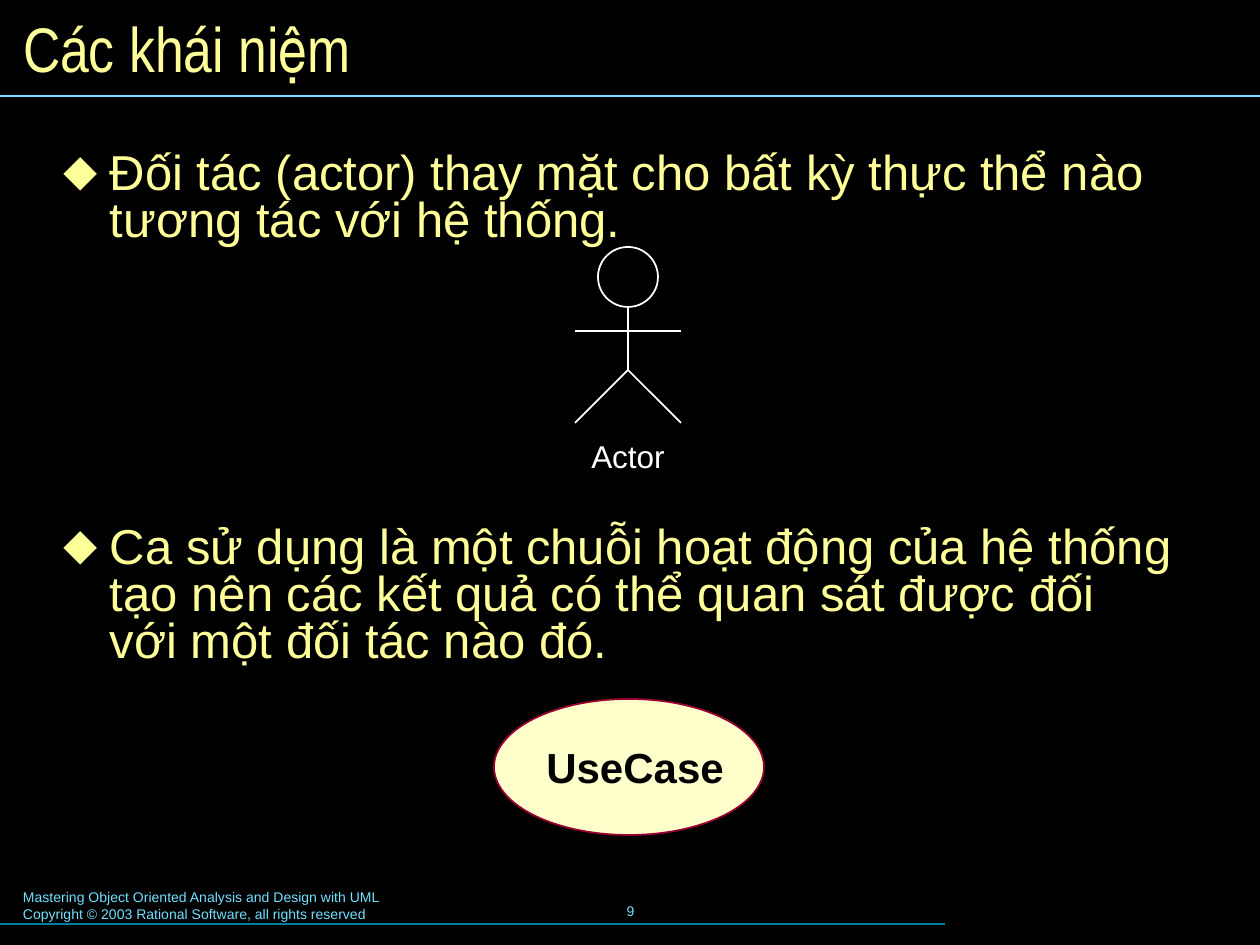
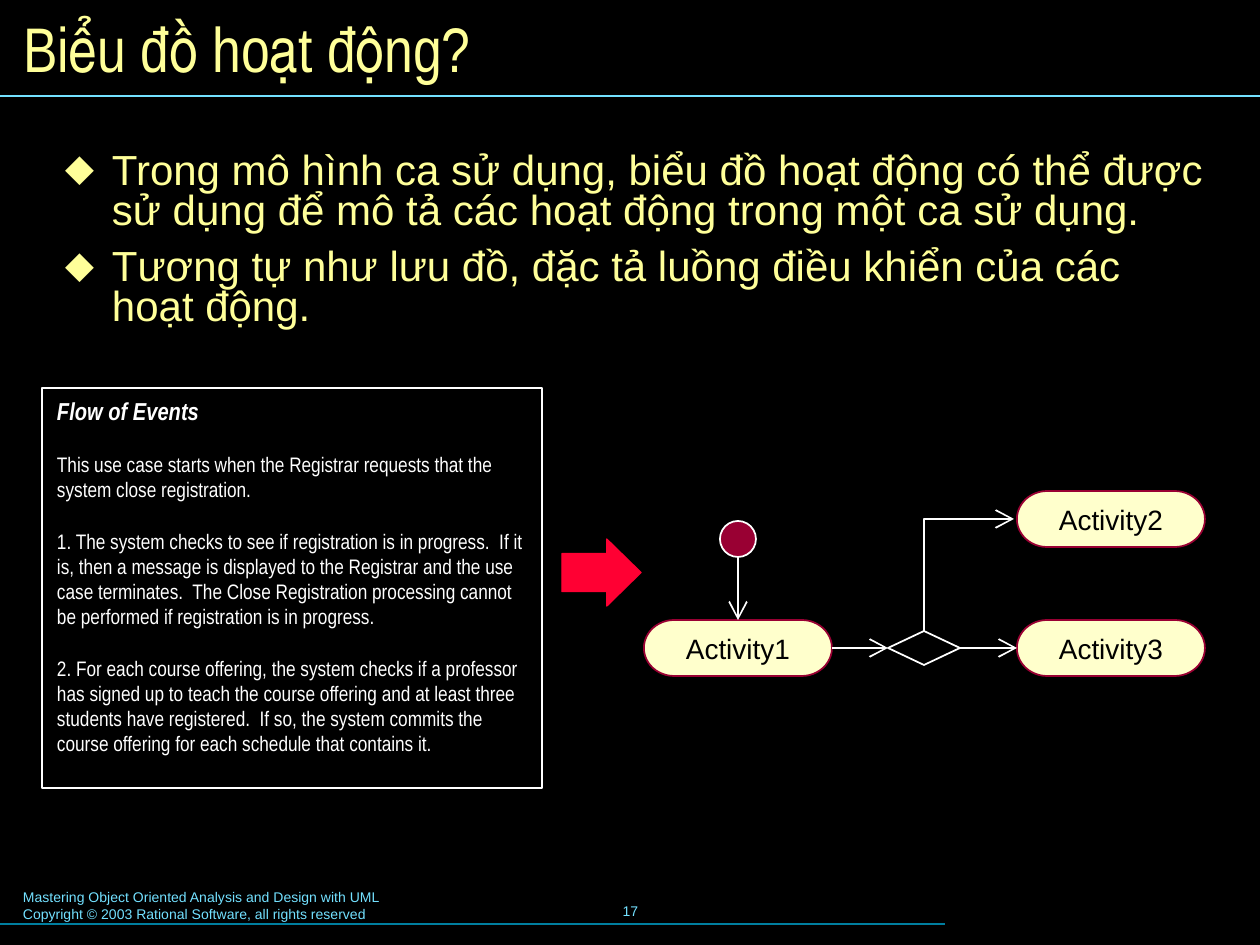
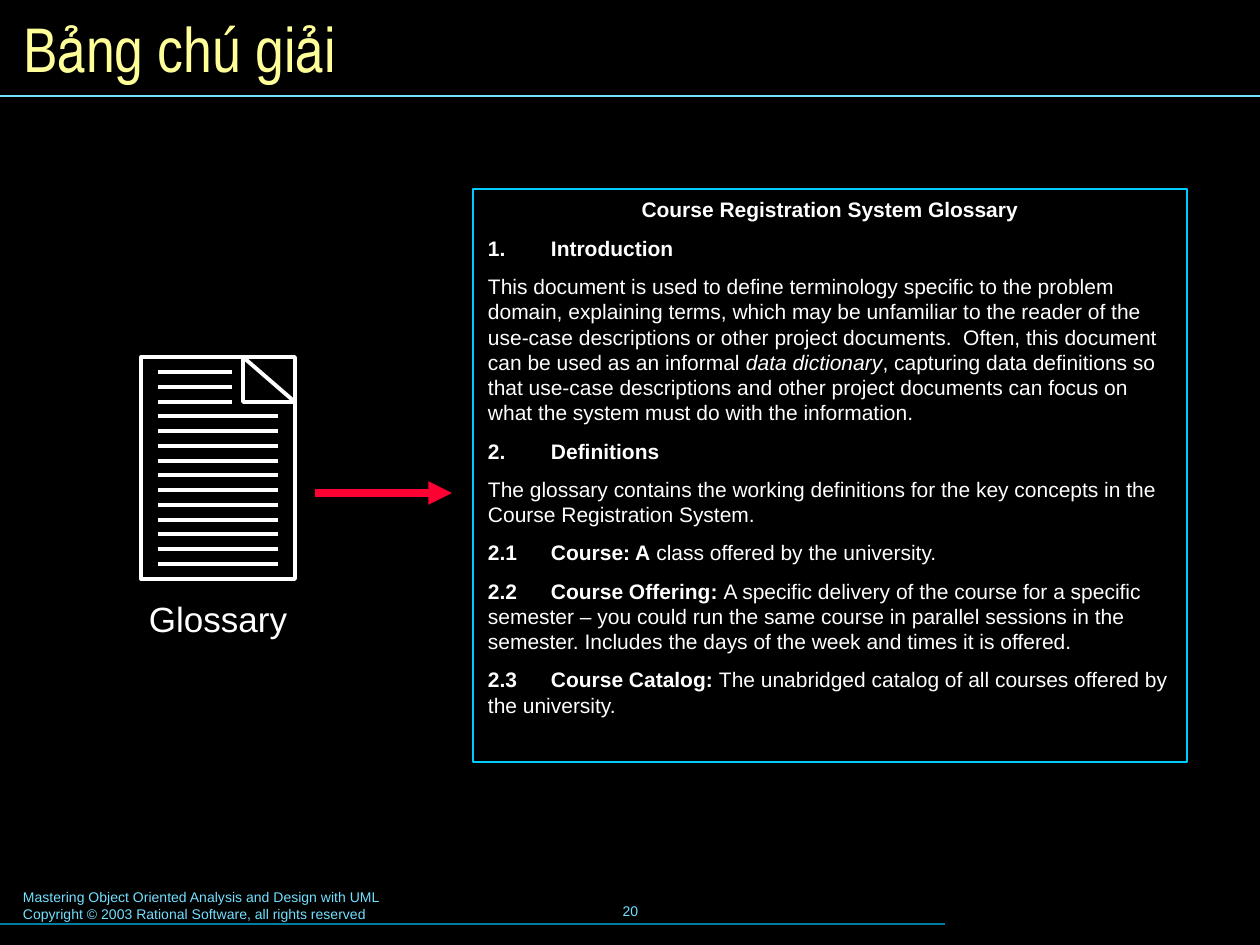
from lxml import etree
from pptx import Presentation
from pptx import util as u
from pptx.dml.color import RGBColor
from pptx.enum import shapes, text
from pptx.oxml.ns import qn

EMU_PER_PX = 914400 / 126
BLACK, WHITE = "000000", "FFFFFF"
YELLOW, CREAM = "FFFF99", "FFFFCC"
CYAN, TEAL, SKY = "73E1FF", "007E9F", "00CCFF"
MAROON, RED = "990033", "FF0033"
SANS, NARROW = "Arial", "Arial Narrow"
FOOTER = ["Mastering Object Oriented Analysis and Design with UML",
          "Copyright © 2003 Rational Software, all rights reserved"]

LEFT, CENTER = text.PP_ALIGN.LEFT, text.PP_ALIGN.CENTER
TOP, MIDDLE = text.MSO_ANCHOR.TOP, text.MSO_ANCHOR.MIDDLE
PRESET = shapes.MSO_SHAPE


def px(length):
    return u.Emu(round(length * EMU_PER_PX))


def rgb(colour):
    return RGBColor.from_string(colour)


def place(shape, box):
    shape.left, shape.top, shape.width, shape.height = map(px, box)


def add_bullet(paragraph, hanging):
    properties = paragraph._p.get_or_add_pPr()
    properties.set("marL", str(px(hanging)))
    properties.set("indent", str(-px(hanging)))
    colour = etree.SubElement(properties, qn("a:buClr"))
    etree.SubElement(colour, qn("a:srgbClr"), val=YELLOW)
    etree.SubElement(properties, qn("a:buFont"), typeface=SANS)
    etree.SubElement(properties, qn("a:buChar"), char="⬥")


def add_tab_stop(paragraph, position):
    tabs = etree.SubElement(paragraph._p.get_or_add_pPr(), qn("a:tabLst"))
    etree.SubElement(tabs, qn("a:tab"), pos=str(px(position)), algn="l")


def set_frame(frame, anchor=TOP, margins=(13, 6), wrap=True):
    frame.auto_size = text.MSO_AUTO_SIZE.NONE
    frame.word_wrap = wrap
    frame.vertical_anchor = anchor
    frame.margin_left = frame.margin_right = px(margins[0])
    frame.margin_top = frame.margin_bottom = px(margins[1])


def write(frame, paragraphs, size, colour, font=SANS, align=LEFT, before=0,
          after=0, bullet=0, tab=0):
    """Fill a frame; a paragraph is a string or a list of (text, style), style being "", "b" or "i"."""
    for index, content in enumerate(paragraphs):
        paragraph = frame.paragraphs[0] if index == 0 else frame.add_paragraph()
        paragraph.alignment = align
        paragraph.space_before = u.Pt(before if index else 0)
        paragraph.space_after = u.Pt(after)
        if bullet:
            paragraph.line_spacing = 0.8
            add_bullet(paragraph, bullet)
        if tab:
            add_tab_stop(paragraph, tab)
        paragraph.font.name = font
        paragraph.font.size = u.Pt(size)
        paragraph.font.color.rgb = rgb(colour)
        runs = [(content, "")] if isinstance(content, str) else content
        for words, style in runs:
            run = paragraph.add_run()
            run.text = words
            if style:
                run.font.bold = "b" in style
                run.font.italic = "i" in style


def add_label(parent, box, lines, size, colour, align=CENTER, anchor=MIDDLE):
    label = parent.add_textbox(*map(px, box))
    set_frame(label.text_frame, anchor)
    write(label.text_frame, lines, size, colour, align=align)


def style_shape(shape, fill, line, weight):
    shape.shadow.inherit = False
    if fill:
        shape.fill.solid()
        shape.fill.fore_color.rgb = rgb(fill)
    else:
        shape.fill.background()
    shape.line.color.rgb = rgb(line)
    shape.line.width = u.Pt(weight)
    return shape


def add_shape(parent, kind, box, fill=None, line=WHITE, weight=1):
    return style_shape(parent.add_shape(kind, *map(px, box)), fill, line, weight)


def add_path(parent, points, close=False, weight=1):
    corners = [(px(x), px(y)) for x, y in points]
    builder = parent.build_freeform(*corners[0], scale=1.0)
    builder.add_line_segments(corners[1:], close=close)
    return style_shape(builder.convert_to_shape(), None, WHITE, weight)


def add_arrowhead(shape, kind):
    size = "lg" if kind == "arrow" else "med"
    etree.SubElement(shape.line._get_or_add_ln(), qn("a:tailEnd"),
                     type=kind, w=size, len=size)


def add_line(parent, start, end, colour=WHITE, weight=1, head=None):
    line = parent.add_connector(shapes.MSO_CONNECTOR.STRAIGHT,
                                *map(px, (*start, *end)))
    line.line.color.rgb = rgb(colour)
    line.line.width = u.Pt(weight)
    if head:
        add_arrowhead(line, head)
    etree.SubElement(line._element.spPr, qn("a:effectLst"))
    return line


def add_base_slide(presentation, layout, title, number):
    """Add a slide with its title, rules, footer and page number."""
    slide = presentation.slides.add_slide(presentation.slide_layouts[layout])
    parent = slide.shapes
    add_line(parent, (0, 924), (945, 924), TEAL, 0.75)
    add_line(parent, (0, 96), (1260, 96), CYAN, 0.75)
    add_label(parent, (10, 883, 643, 47), FOOTER, 8, CYAN, LEFT, TOP)
    add_label(parent, (431, 879, 399, 63), [number], 8, CYAN)
    place(parent.title, (10, 11, 1240, 73))
    set_frame(parent.title.text_frame, MIDDLE)
    write(parent.title.text_frame, [title], 36, YELLOW, NARROW)
    return slide


def fill_body(slide, box, items, size, before):
    body = slide.placeholders[1]
    place(body, box)
    set_frame(body.text_frame, margins=(15, 8))
    write(body.text_frame, items, size, YELLOW, before=before, bullet=47)


def add_text_panel(slide, box, line, paragraphs, **style):
    panel = add_shape(slide.shapes, PRESET.RECTANGLE, box, None, line, 0.75)
    set_frame(panel.text_frame, margins=(15, 8))
    write(panel.text_frame, paragraphs, 12, WHITE, **style)
    return panel


def add_actor(slide, left, top):
    parent = slide.shapes
    middle, hips = left + 53, top + 123
    add_shape(parent, PRESET.OVAL, (middle - 30, top, 60, 60))
    add_line(parent, (middle, top + 60), (middle, hips))
    add_line(parent, (left, top + 84), (left + 106, top + 84))
    add_path(parent, [(left, hips + 53), (middle, hips), (left + 106, hips + 53)])
    add_label(parent, (left, top + 182, 106, 53), ["Actor"], 18, WHITE)


def add_use_case(slide, box):
    oval = add_shape(slide.shapes, PRESET.OVAL, box, CREAM, MAROON)
    set_frame(oval.text_frame, MIDDLE, (0, 0), wrap=False)
    oval.text_frame.margin_left = px(12)
    write(oval.text_frame, [[("UseCase", "b")]], 24, BLACK, align=CENTER)


def add_activity(slide, left, top, name):
    activity = add_shape(slide.shapes, PRESET.FLOWCHART_TERMINATOR,
                         (left, top, 188, 56), CREAM, MAROON)
    set_frame(activity.text_frame, MIDDLE, (0, 0), wrap=False)
    write(activity.text_frame, [name], 16, BLACK, align=CENTER)
    return activity


def add_activity_diagram(slide, left, top):
    parent = slide.shapes
    upper, lower = top + 28, top + 157
    start_x, decision_x, right = left + 94, left + 280, left + 373
    first = add_activity(slide, left, top + 129, "Activity1")
    add_activity(slide, right, top, "Activity2")
    third = add_activity(slide, right, top + 129, "Activity3")
    add_shape(parent, PRESET.OVAL, (start_x - 18, top + 30, 36, 36), MAROON)
    decision = add_shape(parent, PRESET.DIAMOND,
                         (decision_x - 36, lower - 17, 72, 34))
    entry = add_line(parent, (start_x, top + 66), (start_x, top + 129), head="arrow")
    entry.end_connect(first, 0)
    for source, target in ((first, decision), (decision, third)):
        flow = add_line(parent, (left, lower), (right, lower), head="arrow")
        flow.begin_connect(source, 3)
        flow.end_connect(target, 1)
    branch = add_path(parent, [(decision_x, lower - 17), (decision_x, upper),
                               (right - 3, upper)])
    add_arrowhead(branch, "arrow")


def add_document_icon(slide, left, top):
    parent = slide.shapes.add_group_shape().shapes
    weight, width, fold, line_count = 2.25, 154, 45, 14
    add_shape(parent, PRESET.RECTANGLE, (left, top, width, 222), weight=weight)
    add_path(parent, [(left + 102, top), (left + width, top + fold),
                      (left + 102, top + fold)], close=True, weight=weight)
    for index in range(line_count):
        y = top + 15 + round(index * 192 / (line_count - 1))
        end = left + (91 if index < 3 else 137)
        add_line(parent, (left + 17, y), (end, y), weight=weight)
    add_label(parent, (left - 23, top + 234, width + 46, 55), ["Glossary"], 20, WHITE)


def build_concepts(presentation):
    slide = add_base_slide(presentation, 1, "Các khái niệm", "9")
    fill_body(slide, (48, 145, 1138, 696), [
        "Đối tác (actor) thay mặt cho bất kỳ thực thể nào tương tác với hệ thống.",
        "Ca sử dụng là một chuỗi hoạt động của hệ thống tạo nên các kết quả "
        "có thể quan sát được đối với một đối tác nào đó.",
    ], 28, 160)
    add_actor(slide, 575, 247)
    add_use_case(slide, (494, 699, 270, 136))


def build_activity_diagram(presentation):
    slide = add_base_slide(presentation, 1, "Biểu đồ hoạt động?", "17")
    fill_body(slide, (50, 145, 1168, 696), [
        "Trong mô hình ca sử dụng, biểu đồ hoạt động có thể được sử dụng để "
        "mô tả các hoạt động trong một ca sử dụng.",
        "Tương tự như lưu đồ, đặc tả luồng điều khiển của các hoạt động.",
    ], 24, 9)
    panel = add_text_panel(slide, (42, 388, 500, 400), WHITE, [
        [("Flow of Events", "bi")],
        "This use case starts when the Registrar requests that the system "
        "close registration.",
        "1. The system checks to see if registration is in progress.  If it is, "
        "then a message is displayed to the Registrar and the use case "
        "terminates.  The Close Registration processing cannot be performed if "
        "registration is in progress.",
        "2. For each course offering, the system checks if a professor has "
        "signed up to teach the course offering and at least three students "
        "have registered.  If so, the system commits the course offering for "
        "each schedule that contains it.",
    ], font=NARROW, before=12, after=3)
    panel.text_frame.paragraphs[0].font.size = u.Pt(14)
    arrow = add_shape(slide.shapes, PRESET.RIGHT_ARROW, (562, 539, 79, 67),
                      RED, RED, 0.75)
    arrow.adjustments[0], arrow.adjustments[1] = 0.57, 0.51
    add_activity_diagram(slide, 644, 491)


def build_glossary(presentation):
    slide = add_base_slide(presentation, 5, "Bảng chú giải", "20")
    add_document_icon(slide, 141, 357)
    panel = add_text_panel(slide, (473, 189, 714, 573), SKY, [
        [("Course Registration System Glossary", "b")],
        [("1.\tIntroduction", "b")],
        [("This document is used to define terminology specific to the problem "
          "domain, explaining terms, which may be unfamiliar to the reader of "
          "the use-case descriptions or other project documents.  Often, this "
          "document can be used as an informal ", ""),
         ("data dictionary", "i"),
         (", capturing data definitions so that use-case descriptions and other "
          "project documents can focus on what the system must do with the "
          "information.", "")],
        [("2.\tDefinitions", "b")],
        "The glossary contains the working definitions for the key concepts in "
        "the Course Registration System.",
        [("2.1\tCourse: A", "b"), (" class offered by the university.", "")],
        [("2.2\tCourse Offering: ", "b"),
         ("A specific delivery of the course for a specific semester – you "
          "could run the same course in parallel sessions in the semester. "
          "Includes the days of the week and times it is offered.", "")],
        [("2.3\tCourse Catalog: ", "b"),
         ("The unabridged catalog of all courses offered by the university.", "")],
    ], before=7.5, tab=63)
    panel.text_frame.paragraphs[0].alignment = CENTER
    add_line(slide.shapes, (315, 493), (452, 493), RED, 4.5, "triangle")


def main():
    presentation = Presentation()
    presentation.slide_width, presentation.slide_height = px(1260), px(945)
    background = presentation.slide_master.background.fill
    background.solid()
    background.fore_color.rgb = rgb(BLACK)
    build_concepts(presentation)
    build_activity_diagram(presentation)
    build_glossary(presentation)
    presentation.save("out.pptx")


if __name__ == "__main__":
    main()
